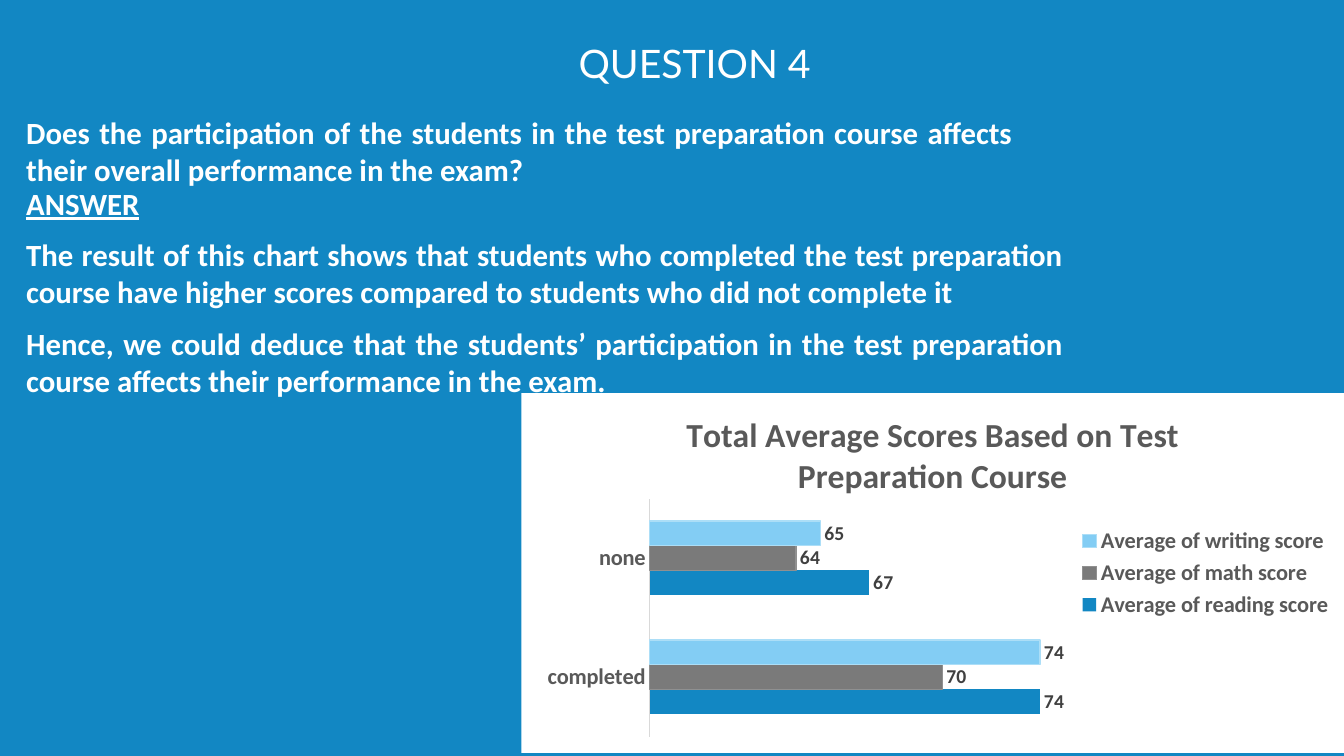
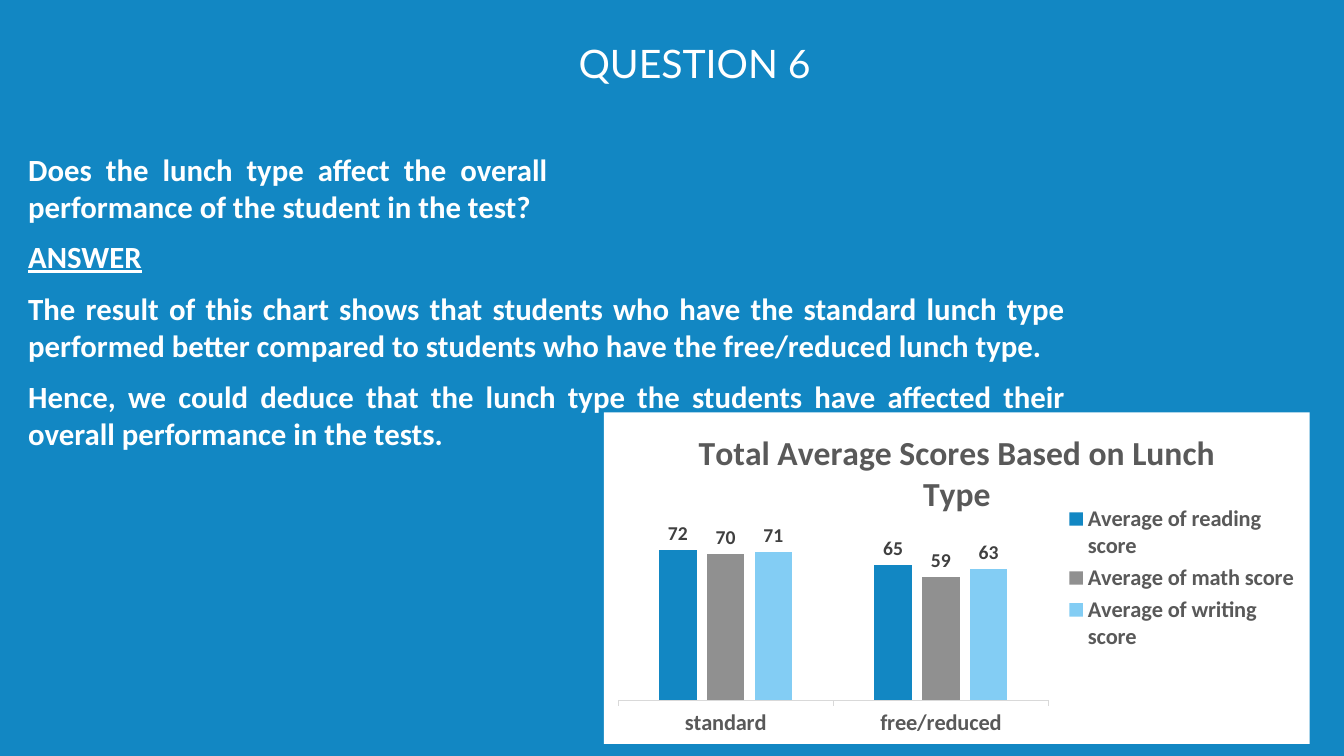
from dataclasses import dataclass

from pptx import Presentation
from pptx.chart.data import CategoryChartData
from pptx.dml.color import RGBColor
from pptx.enum.chart import XL_CHART_TYPE as ChartType, XL_LABEL_POSITION as LabelPosition
from pptx.enum.chart import XL_LEGEND_POSITION as LegendPosition, XL_TICK_MARK as TickMark
from pptx.enum.text import MSO_ANCHOR as Anchor, PP_ALIGN as Align
from pptx.oxml import parse_xml
from pptx.oxml.ns import nsdecls, qn
from pptx.util import Inches, Pt


@dataclass(frozen=True)
class Theme:
    blue: str = "1287C3"
    light_blue: str = "83CDF4"
    white: str = "FFFFFF"
    chart_text: str = "595959"
    label_text: str = "404040"
    axis_line: str = "D9D9D9"
    title_font: str = "Lato"
    body_font: str = "Calibri"
    title_size: int = 28
    body_size: int = 22
    chart_title_size: int = 24
    chart_text_size: int = 16
    label_size: int = 14
    paragraph_gap: float = 10.4


THEME = Theme()
TITLE_BOX = (1.41, 0.29, 10.96, 0.66)
ANSWER_SIZE = (10.28, 2.2)

# Content: boxes are left, top, width, height in inches;
# plot areas are the same as shares of the chart;
# series are name, values, fill and outline
SLIDES = [
    {
        "title": "QUESTION 4",
        "question": "Does the participation of the students in the test preparation course "
                    "affects their overall performance in the exam?",
        "question_box": (0.26, 1.13, 9.78, 0.75),
        "answer": [
            "The result of this chart shows that students who completed the test preparation "
            "course have higher scores compared to students who did not complete it",
            "Hence, we could deduce that the students’ participation in the test preparation "
            "course affects their performance in the exam.",
        ],
        "answer_top": 1.83,
        "chart": {
            "title": "Total Average Scores Based on Test Preparation Course",
            "type": ChartType.BAR_CLUSTERED,
            "box": (5.17, 3.9, 8.16, 3.57),
            "plot": (0.156, 0.293, 0.534, 0.662),
            "scale": (58, 76),
            "gap": 182,
            "overlap": 0,
            "tick": TickMark.NONE,
            "categories": ["completed", "none"],
            "series": [
                ("Average of reading score", (74, 67), THEME.blue, None),
                ("Average of math score", (70, 64), "7A7A7A", "909090"),
                ("Average of writing score", (74, 65), THEME.light_blue, "ACDEF7"),
            ],
        },
    },
    {
        "title": "QUESTION 6",
        "question": "Does the lunch type affect the overall performance of the student "
                    "in the test?",
        "question_box": (0.28, 1.5, 5.15, 0.75),
        "answer": [
            "The result of this chart shows that students who have the standard lunch type "
            "performed better compared to students who have the free/reduced lunch type.",
            "Hence, we could deduce that the lunch type the students have affected their "
            "overall performance in the tests.",
        ],
        "answer_top": 2.36,
        "chart": {
            "title": "Total Average Scores Based on Lunch Type",
            "type": ChartType.COLUMN_CLUSTERED,
            "box": (5.99, 4.09, 7, 3.29),
            "plot": (0.02, 0.365, 0.61, 0.503),
            "scale": (0, 80),
            "gap": 219,
            "overlap": -27,
            "tick": TickMark.OUTSIDE,
            "categories": ["standard", "free/reduced"],
            "series": [
                ("Average of reading score", (72, 65), THEME.blue, None),
                ("Average of math score", (70, 59), "909090", None),
                ("Average of writing score", (71, 63), THEME.light_blue, None),
            ],
        },
    },
]


def rgb(color):
    return RGBColor.from_string(color)


def inches(box):
    return [Inches(length) for length in box]


def style_font(font, size, color, name=THEME.body_font, bold=True):
    font.name, font.size, font.bold = name, Pt(size), bold
    font.color.rgb = rgb(color)


# Text
def add_text(slide, box, texts, anchor=Anchor.TOP):
    frame = slide.shapes.add_textbox(*inches(box)).text_frame
    frame.word_wrap = True
    frame.vertical_anchor = anchor
    frame.margin_left = frame.margin_right = frame.margin_top = frame.margin_bottom = 0
    frame.text = "\n".join(texts)
    for paragraph in frame.paragraphs:
        paragraph.alignment = Align.JUSTIFY
        paragraph.space_after = Pt(THEME.paragraph_gap)
        style_font(paragraph.font, THEME.body_size, THEME.white)
    return frame.paragraphs[0]


def add_title(slide, text):
    paragraph = add_text(slide, TITLE_BOX, [text], Anchor.MIDDLE)
    paragraph.alignment = Align.CENTER
    paragraph.space_after = Pt(0)
    style_font(paragraph.font, THEME.title_size, THEME.white, THEME.title_font, bold=False)


# Chart
def set_background_and_plot(chart, plot_box):
    chart_element = chart._chartSpace.find(qn("c:chart"))
    chart_element.addnext(parse_xml(
        f'<c:spPr {nsdecls("c", "a")}><a:solidFill><a:srgbClr val="{THEME.white}"/>'
        "</a:solidFill><a:ln><a:noFill/></a:ln></c:spPr>"))
    plot_area = chart_element.find(qn("c:plotArea"))
    for layout in plot_area.findall(qn("c:layout")):
        plot_area.remove(layout)
    sizes = "".join(f'<c:{tag} val="{share}"/>' for tag, share in zip("xywh", plot_box))
    plot_area.insert(0, parse_xml(
        f'<c:layout {nsdecls("c")}><c:manualLayout><c:layoutTarget val="inner"/>'
        f'<c:xMode val="edge"/><c:yMode val="edge"/>{sizes}</c:manualLayout></c:layout>'))


def style_series(series, fill, outline):
    series.format.fill.solid()
    series.format.fill.fore_color.rgb = rgb(fill)
    series.invert_if_negative = False
    if outline:
        series.format.line.color.rgb = rgb(outline)
        series.format.line.width = Pt(0.75)
    labels = series.data_labels
    labels.show_value = True
    labels.position = LabelPosition.OUTSIDE_END
    labels.number_format, labels.number_format_is_linked = "0", False
    style_font(labels.font, THEME.label_size, THEME.label_text)


def add_score_chart(slide, content):
    data = CategoryChartData(number_format="0")
    data.categories = content["categories"]
    for name, values, *_ in content["series"]:
        data.add_series(name, values)
    chart = slide.shapes.add_chart(content["type"], *inches(content["box"]), data).chart
    style_font(chart.font, THEME.chart_text_size, THEME.chart_text)

    title_frame = chart.chart_title.text_frame
    title_frame.text = content["title"]
    style_font(title_frame.paragraphs[0].font, THEME.chart_title_size, THEME.chart_text)
    chart.chart_title.include_in_layout = False

    chart.has_legend = True
    chart.legend.position = LegendPosition.RIGHT
    chart.legend.include_in_layout = False
    style_font(chart.legend.font, THEME.chart_text_size, THEME.chart_text)

    category_axis, value_axis = chart.category_axis, chart.value_axis
    category_axis.major_tick_mark = content["tick"]
    category_axis.format.line.color.rgb = rgb(THEME.axis_line)
    category_axis.format.line.width = Pt(0.75)
    style_font(category_axis.tick_labels.font, THEME.chart_text_size, THEME.chart_text)
    value_axis.visible = False
    value_axis.has_major_gridlines = False
    value_axis.minimum_scale, value_axis.maximum_scale = content["scale"]

    plot = chart.plots[0]
    plot.vary_by_categories = False
    plot.gap_width, plot.overlap = content["gap"], content["overlap"]
    for series, (_, _, fill, outline) in zip(plot.series, content["series"]):
        style_series(series, fill, outline)
    set_background_and_plot(chart, content["plot"])


def main():
    presentation = Presentation()
    presentation.slide_width, presentation.slide_height = Inches(13.33), Inches(7.5)
    background = presentation.slide_master.background.fill
    background.solid()
    background.fore_color.rgb = rgb(THEME.blue)

    for content in SLIDES:
        slide = presentation.slides.add_slide(presentation.slide_layouts[6])
        add_title(slide, content["title"])
        add_text(slide, content["question_box"], [content["question"]])
        answer_box = (content["question_box"][0], content["answer_top"], *ANSWER_SIZE)
        heading = add_text(slide, answer_box, ["ANSWER", *content["answer"]])
        heading.font.underline = True
        add_score_chart(slide, content["chart"])
    presentation.save("out.pptx")


if __name__ == "__main__":
    main()
